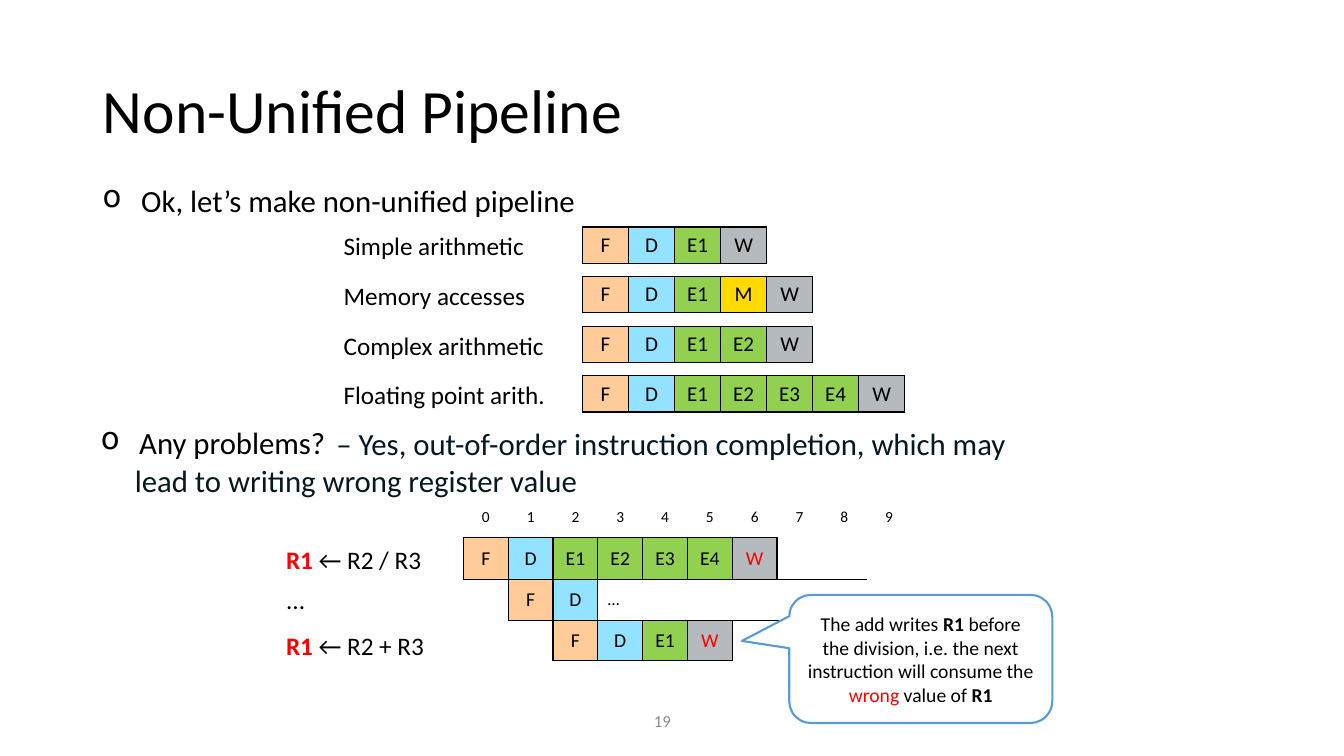
from lxml.etree import SubElement
from pptx import Presentation
from pptx.dml.color import RGBColor
from pptx.enum.shapes import MSO_SHAPE
from pptx.enum.text import MSO_ANCHOR, PP_ALIGN
from pptx.oxml import parse_xml
from pptx.oxml.ns import nsdecls, qn
from pptx.util import Cm, Pt

HUES = {"black": "000000", "white": "FFFFFF", "red": "FF0000", "navy": "061922",
        "gray": "8C8C8C", "blue": "5B9BD5",
        "F": "FFCC99", "D": "93E2FF", "E": "92D050", "M": "FFDA00", "W": "B4BABD"}
NO_GRID = "{2D5ABB26-0587-4C30-8999-92F81FD0307C}"


def write(para, text, size=18, hue="black", bold=False, align=None):
    run = para.add_run()
    run.text = text
    run.font.name = "Calibri"
    run.font.size = Pt(size)
    run.font.bold = bold
    run.font.color.rgb = RGBColor.from_string(HUES[hue])
    if align is not None:
        para.alignment = align


def paint(cell, name="", size=14, hue="black", sides=""):
    """Fill one pipeline cell, with black lines on the given sides."""
    cell.margin_top = cell.margin_bottom = 0
    cell.vertical_anchor = MSO_ANCHOR.MIDDLE
    cell.fill.solid()
    cell.fill.fore_color.rgb = RGBColor.from_string(HUES.get(name[:1], HUES["white"]))
    if name:
        write(cell.text_frame.paragraphs[0], name, size, hue, align=PP_ALIGN.CENTER)
    for spot, side in enumerate(sides):
        line = parse_xml(f'<a:ln{side} {nsdecls("a")} w="12700"><a:solidFill>'
                         f'<a:srgbClr val="{HUES["black"]}"/></a:solidFill></a:ln{side}>')
        cell._tc.get_or_add_tcPr().insert(spot, line)


deck = Presentation()
deck.slide_width, deck.slide_height = Cm(33.87), Cm(19.05)
slide = deck.slides.add_slide(deck.slide_layouts[5])
shapes = slide.shapes

# Title
title = shapes.title
title.left, title.top, title.width, title.height = Cm(2.34), Cm(1.02), Cm(29.21), Cm(3.68)
title.text_frame.vertical_anchor = MSO_ANCHOR.MIDDLE
head = title.text_frame.paragraphs[0]
head.line_spacing = 0.9
write(head, "Non-Unified Pipeline", 44, align=PP_ALIGN.LEFT)

# Bullets, answer and page number: left, top, width, height, text, size, hue, margin, indent
notes = [
    (2.34, 4.45, 29.21, 1.2, "Ok, let’s make non-unified pipeline", 22, "black", 0.97, -0.97),
    (2.29, 10.55, 6.4, 1.2, "Any problems?", 22, "black", 0.97, -0.97),
    (3.15, 10.59, 23.39, 2.13, "– Yes, out-of-order instruction completion, which may "
     "lead to writing wrong register value", 22, "navy", 0, 5.08),
    (16.23, 17.65, 2.01, 1.02, "19", 12, "gray", 0, 0),
]
for left, top, width, height, text, size, hue, margin, indent in notes:
    frame = shapes.add_textbox(Cm(left), Cm(top), Cm(width), Cm(height)).text_frame
    frame.word_wrap = True
    if hue == "gray":
        frame.vertical_anchor = MSO_ANCHOR.MIDDLE
    para = frame.paragraphs[0]
    props = para._p.get_or_add_pPr()
    props.set("marL", str(Cm(margin)))
    props.set("indent", str(Cm(indent)))
    if indent < 0:
        SubElement(props, qn("a:buChar")).set("char", "o")
    write(para, text, size, hue)

# One pipeline for each kind of instruction, with a blank end column
kinds = [("Simple arithmetic", "F D E1 W", 2.32),
         ("Memory accesses", "F D E1 M W", 2.32),
         ("Complex arithmetic", "F D E1 E2 W", 0.51),
         ("Floating point arith.", "F D E1 E2 E3 E4 W", 2.32)]
for row, (label, steps, tail) in enumerate(kinds):
    top = 5.72 + 1.25 * row
    frame = shapes.add_textbox(Cm(8.41), Cm(top - 0.03), Cm(5.9), Cm(1.02)).text_frame
    frame.word_wrap = False
    write(frame.paragraphs[0], label)

    names = steps.split()
    count = len(names)
    grid = shapes.add_table(1, count + 1, Cm(14.68), Cm(top),
                            Cm(1.16 * count + tail), Cm(0.91)).table
    grid._tbl.tblPr.find(qn("a:tableStyleId")).text = NO_GRID
    grid.first_row = grid.horz_banding = False
    for col, name in enumerate(names):
        grid.columns[col].width = Cm(1.16)
        paint(grid.cell(0, col), name, 15, sides="LRTB")
    grid.columns[count].width = Cm(tail)
    paint(grid.cell(0, count), sides="L")

# Timing table: each row holds its first column and its steps
grid = shapes.add_table(4, 12, Cm(11.68), Cm(12.52), Cm(13.56), Cm(4.13)).table
grid._tbl.tblPr.find(qn("a:tableStyleId")).text = NO_GRID
grid.first_row = grid.horz_banding = False
for col in grid.columns:
    col.width = Cm(1.13)
for row, height in zip(grid.rows, (1.02, 1.07, 1.02, 1.02)):
    row.height = Cm(height)
for first in (3, 6):
    grid.cell(2, first).merge(grid.cell(2, first + 2))

times = [(0, "0 1 2 3 4 5 6 7 8 9"), (0, "F D E1 E2 E3 E4 W"), (1, "F D"), (2, "F D E1 W")]
for row, (start, steps) in enumerate(times):
    names = dict(enumerate(steps.split(), start))
    for col in range(12):
        name = names.get(col, "")
        if row == 0:
            sides = "B" if col < 7 else ""
        elif name:
            sides = "LRTB"
        elif row == 1 and col in (7, 8):
            sides = "B"
        elif row == 2 and 3 <= col <= 8:
            sides = "T"
        else:
            sides = ""
        paint(grid.cell(row, col), name, 14 if row else 11,
              "red" if name == "W" else "black", sides)
write(grid.cell(2, 3).text_frame.paragraphs[0], "…", 12)

# Instructions beside the timing table
frame = shapes.add_textbox(Cm(6.96), Cm(13.59), Cm(4.04), Cm(3.2)).text_frame
frame.word_wrap = False
lines = [("R1", " ← R2 / R3", 0), ("", "...", 7.3), ("R1", " ← R2 + R3", 11)]
for spot, (target, rest, gap) in enumerate(lines):
    para = frame.add_paragraph() if spot else frame.paragraphs[0]
    para.space_before = Pt(gap)
    if target:
        write(para, target, hue="red", bold=True)
    write(para, rest)

# Callout
call = shapes.add_shape(MSO_SHAPE.ROUNDED_RECTANGULAR_CALLOUT,
                        Cm(19.89), Cm(14.99), Cm(6.63), Cm(3.23))
call.shadow.inherit = False
for spot, value in enumerate((-0.68, -0.14, 0.17)):
    call.adjustments[spot] = value
call.fill.solid()
call.fill.fore_color.rgb = RGBColor.from_string(HUES["white"])
call.line.color.rgb = RGBColor.from_string(HUES["blue"])
call.line.width = Pt(1.5)
call.text_frame.word_wrap = True
call.text_frame.vertical_anchor = MSO_ANCHOR.MIDDLE
for text in ("The add writes ", "R1", " before the division, i.e. the next "
             "instruction will consume the ", "wrong", " value of ", "R1"):
    write(call.text_frame.paragraphs[0], text, 14, "red" if text == "wrong" else "black",
          text == "R1", PP_ALIGN.CENTER)

deck.save("out.pptx")
